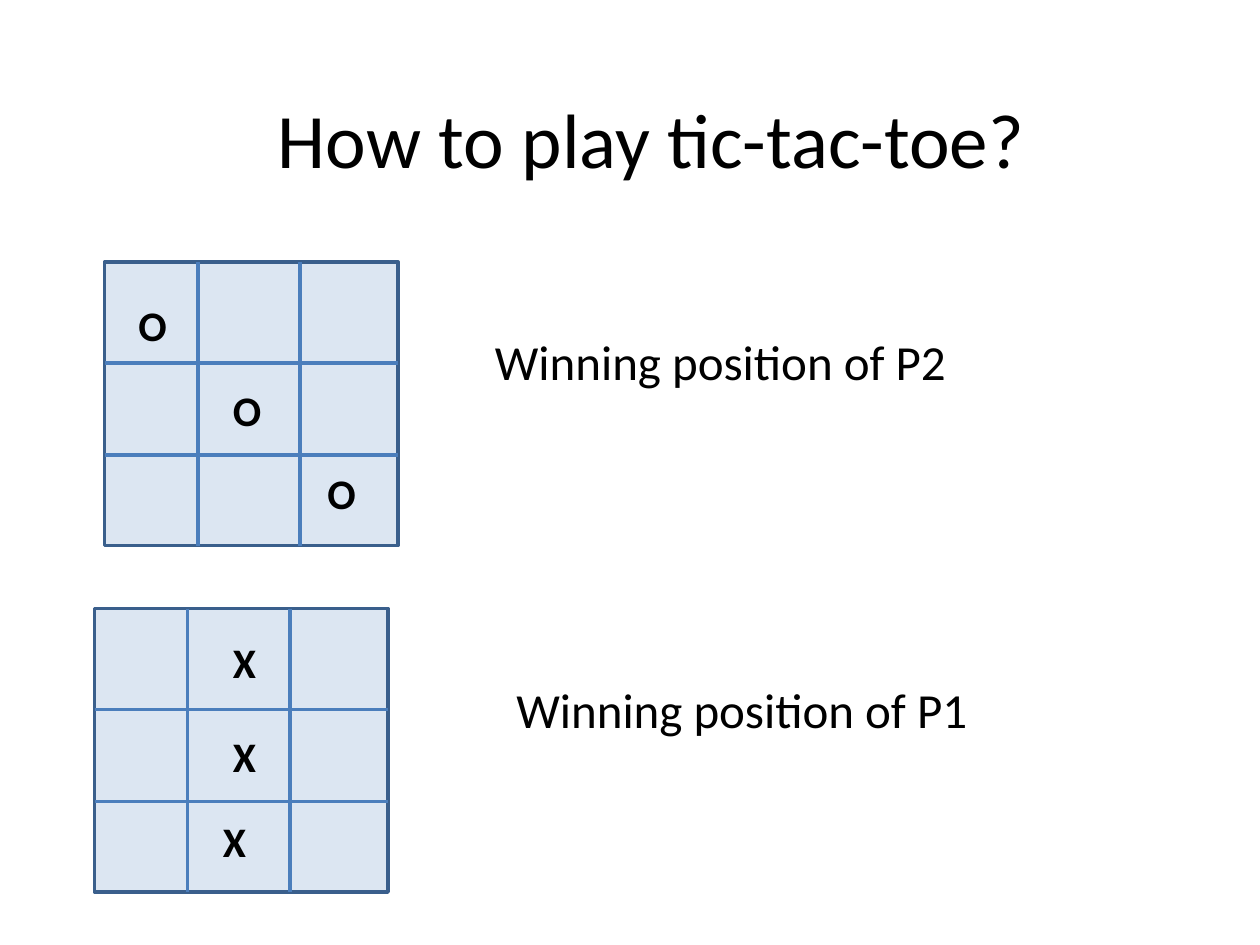
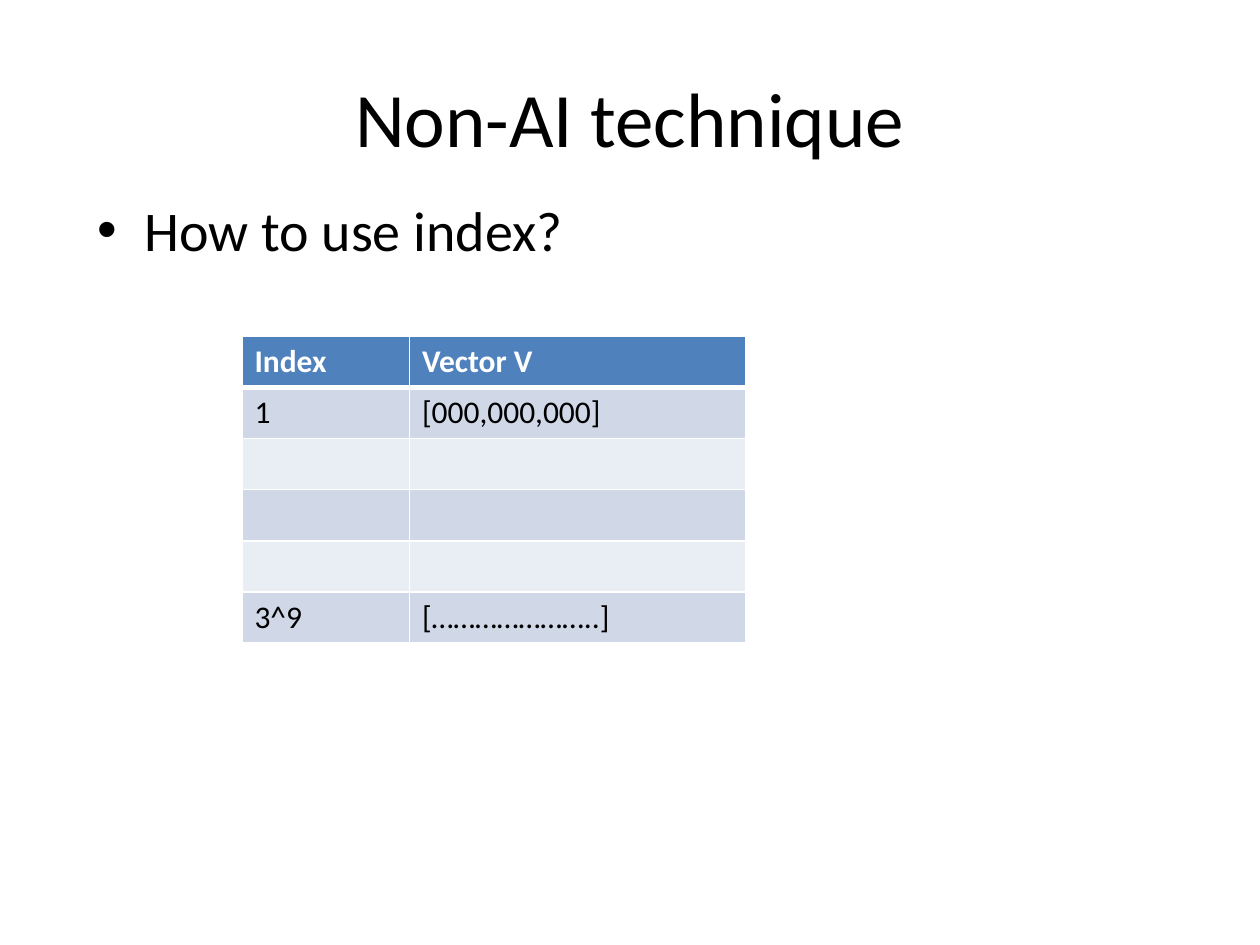
import pptx
import pptx.dml.color
import pptx.enum.shapes
import pptx.enum.text
import pptx.oxml
import pptx.oxml.ns
import pptx.oxml.xmlchemy
import pptx.util
from pptx.util import Inches

RGBColor = pptx.dml.color.RGBColor
BLACK = RGBColor(0x00, 0x00, 0x00)
WHITE = RGBColor(0xFF, 0xFF, 0xFF)
BOARD_FILL = RGBColor(0xDC, 0xE6, 0xF2)
BOARD_EDGE = RGBColor(0x3A, 0x5F, 0x8C)
GRID_LINE = RGBColor(0x4B, 0x7E, 0xBC)
HEADER_FILL = RGBColor(0x4F, 0x81, 0xBD)
ROW_FILLS = [RGBColor(0xD0, 0xD8, 0xE8), RGBColor(0xE9, 0xED, 0xF4)]
FONT = "Calibri"
TITLE_HEIGHT = 1.25
BOARD_WIDTH, BOARD_HEIGHT = 2.33, 2.25
COLUMN_LINES = [0.74, 1.55]
ROW_LINES = [0.8, 1.53]
MARK_WIDTH, MARK_HEIGHT = 0.33, 0.5


def write(frame, text, size, color=BLACK, bold=False, align=None):
    frame.word_wrap = True
    para = frame.paragraphs[0]
    para.text = text
    para.alignment = align
    para.font.name = FONT
    para.font.size = pptx.util.Pt(size)
    para.font.bold = bold
    para.font.color.rgb = color


def place(shape, left, top, width, height):
    shape.left, shape.top = Inches(left), Inches(top)
    shape.width, shape.height = Inches(width), Inches(height)


deck = pptx.Presentation()
deck.slide_width, deck.slide_height = Inches(10), Inches(7.5)

titles = [
    ("How to play tic-tac-toe?", "Title Only", 0.67, 0.47),
    ("Non-AI technique", "Title and Content", 0.5, 0.3),
]
pages = []
for text, layout, left, top in titles:
    page = deck.slides.add_slide(deck.slide_layouts.get_by_name(layout))
    title = page.shapes.title
    place(title, left, top, 9, TITLE_HEIGHT)
    write(title.text_frame, text, 44, align=pptx.enum.text.PP_ALIGN.CENTER)
    title.text_frame.vertical_anchor = pptx.enum.text.MSO_ANCHOR.MIDDLE
    title.text_frame.auto_size = pptx.enum.text.MSO_AUTO_SIZE.NONE
    pages.append(page)
play_page, index_page = pages

boards = [
    (0.83, 2.08, "O", [(1, 2.33), (1.75, 3), (2.5, 3.66)],
     "Winning position of P2", 3.83, 2.58),
    (0.75, 4.83, "X", [(1.75, 5), (1.75, 5.75), (1.67, 6.42)],
     "Winning position of P1", 4, 5.34),
]
for left, top, mark, spots, caption, caption_left, caption_top in boards:
    board = play_page.shapes.add_group_shape()
    square = board.shapes.add_shape(
        pptx.enum.shapes.MSO_SHAPE.RECTANGLE,
        Inches(left), Inches(top), Inches(BOARD_WIDTH), Inches(BOARD_HEIGHT))
    square.shadow.inherit = False
    square.fill.solid()
    square.fill.fore_color.rgb = BOARD_FILL
    square.line.color.rgb = BOARD_EDGE
    square.line.width = pptx.util.Pt(2)

    right, bottom = left + BOARD_WIDTH, top + BOARD_HEIGHT
    grid = [(left + x, top, left + x, bottom) for x in COLUMN_LINES]
    grid += [(left, top + y, right, top + y) for y in ROW_LINES]
    for ends in grid:
        line = board.shapes.add_connector(
            pptx.enum.shapes.MSO_CONNECTOR.STRAIGHT, *map(Inches, ends))
        line.line.color.rgb = GRID_LINE
        line.line.width = pptx.util.Pt(2)
        line._element.spPr.append(pptx.oxml.xmlchemy.OxmlElement("a:effectLst"))

    labels = [(mark, x, y, MARK_WIDTH, MARK_HEIGHT, 24, True) for x, y in spots]
    labels.append((caption, caption_left, caption_top, 3.83, 0.57, 28, False))
    for text, x, y, width, height, size, bold in labels:
        box = play_page.shapes.add_textbox(
            Inches(x), Inches(y), Inches(width), Inches(height))
        write(box.text_frame, text, size, bold=bold)

body = index_page.placeholders[1]
place(body, 0.67, 1.5, 9, 0.58)
write(body.text_frame, "How to use index?", 32)
body.text_frame.auto_size = pptx.enum.text.MSO_AUTO_SIZE.NONE

rows = [
    ("Index", "Vector V"),
    ("1", "[000,000,000]"),
    ("", ""),
    ("", ""),
    ("", ""),
    ("3^9", "[…………………..]"),
]
table = index_page.shapes.add_table(
    len(rows), 2, Inches(1.92), Inches(2.67), Inches(4), Inches(2.43)).table
table.columns[0].width = Inches(1.33)
table.columns[1].width = Inches(2.67)
for row, texts in enumerate(rows):
    header = row == 0
    for column, text in enumerate(texts):
        cell = table.cell(row, column)
        write(cell.text_frame, text, 18, WHITE if header else BLACK, header)
        properties = cell._tc.get_or_add_tcPr()
        for side in ("L", "R", "T", "B"):
            thick = (header and side == "B") or (row == 1 and side == "T")
            properties.append(pptx.oxml.parse_xml(
                f'<a:ln{side} {pptx.oxml.ns.nsdecls("a")} w="{38100 if thick else 12700}">'
                f'<a:solidFill><a:srgbClr val="{WHITE}"/></a:solidFill></a:ln{side}>'))
        cell.fill.solid()
        cell.fill.fore_color.rgb = HEADER_FILL if header else ROW_FILLS[(row - 1) % 2]

deck.save("out.pptx")
